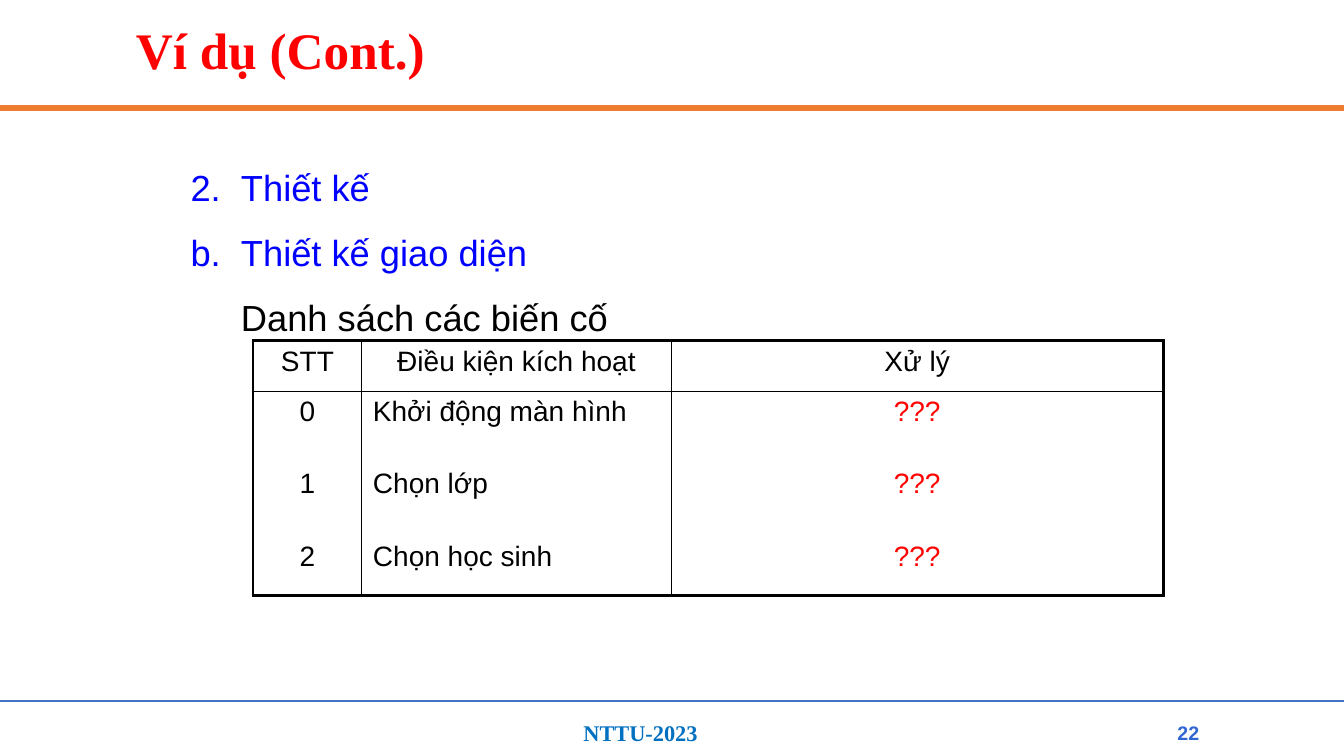
from dataclasses import dataclass
from typing import Any

from lxml import etree
from pptx import Presentation
from pptx.dml.color import RGBColor
from pptx.enum.shapes import MSO_CONNECTOR
from pptx.enum.text import MSO_ANCHOR, MSO_AUTO_SIZE, PP_ALIGN
from pptx.oxml.ns import qn
from pptx.util import Inches, Pt

STRAIGHT = MSO_CONNECTOR.STRAIGHT
TOP, MIDDLE = MSO_ANCHOR.TOP, MSO_ANCHOR.MIDDLE
LEFT, CENTER, JUSTIFY = PP_ALIGN.LEFT, PP_ALIGN.CENTER, PP_ALIGN.JUSTIFY
NO_AUTOFIT = MSO_AUTO_SIZE.NONE

SLIDE_WIDTH, SLIDE_HEIGHT = Inches(13.33), Inches(7.5)
GRID_COLUMNS, GRID_ROWS = 160, 90


@dataclass(frozen=True)
class TextStyle:
    size: float
    color: str
    face: str = "Arial"
    bold: bool = False


@dataclass(frozen=True)
class Theme:
    title: TextStyle = TextStyle(36.6, "FF0000", "Times New Roman", True)
    heading: TextStyle = TextStyle(25.9, "0000FF")
    body: TextStyle = TextStyle(25.9, "000000")
    cell: TextStyle = TextStyle(20, "000000")
    pending: TextStyle = TextStyle(20, "FF0303")
    footer: TextStyle = TextStyle(16, "0070C0", "Times New Roman", True)
    page_number: TextStyle = TextStyle(14, "3167D3", bold=True)
    title_rule: str = "ED7D31"
    footer_rule: str = "4472C4"
    border: str = "000000"
    outer_border: float = 2.25
    inner_border: float = 1


@dataclass(frozen=True)
class Area:
    column: float
    row: float
    columns: float
    rows: float


@dataclass(frozen=True)
class Line:
    text: str
    style: TextStyle
    align: PP_ALIGN = LEFT
    spacing: float = 1.0
    before: float = 0
    indent: float = 0
    numbering: str = ""


@dataclass(frozen=True)
class TextBlock:
    area: Area
    lines: tuple[Line, ...]
    anchor: MSO_ANCHOR = TOP
    wrap: bool = True


@dataclass(frozen=True)
class Rule:
    row: float
    color: str
    width: float


@dataclass(frozen=True)
class EventColumn:
    columns: float
    heading: str
    entries: tuple[str, ...]
    style: TextStyle
    align: PP_ALIGN


THEME = Theme()
EVENT_GAP = 29.4
NUMBER_START = 2
TABLE_AREA = Area(30.12, 40.56, 108.36, 30.36)
TABLE_ROWS = (6, 24.36)

RULES = (
    Rule(12.84, THEME.title_rule, 4.5),
    Rule(83.4, THEME.footer_rule, 1.5),
)

BLOCKS = (
    TextBlock(Area(68.28, 85.08, 21.36, 4.44),
              (Line("NTTU-2023", THEME.footer),)),
    TextBlock(Area(15, 2.76, 130, 7),
              (Line("Ví dụ (Cont.)", THEME.title, spacing=0.9),), MIDDLE),
    TextBlock(Area(21.5, 18, 117, 66), (
        Line("Thiết kế", THEME.heading, JUSTIFY, 1.2, 0, 6, "arabicPeriod"),
        Line("Thiết kế giao diện", THEME.heading, JUSTIFY, 1.2, 9.2, 6, "alphaLcPeriod"),
        Line("Danh sách các biến cố", THEME.body, JUSTIFY, 1.2, 9.2, 6),
    )),
    TextBlock(Area(138.72, 85.08, 5.52, 4.32),
              (Line("22", THEME.page_number, CENTER),), MIDDLE, False),
)

EVENT_COLUMNS = (
    EventColumn(12.96, "STT", ("0", "1", "2"), THEME.cell, CENTER),
    EventColumn(36.84, "Điều kiện kích hoạt",
                ("Khởi động màn hình", "Chọn lớp", "Chọn học sinh"), THEME.cell, LEFT),
    EventColumn(58.56, "Xử lý", ("???",) * 3, THEME.pending, CENTER),
)


def across(columns: float) -> int:
    return round(SLIDE_WIDTH * columns / GRID_COLUMNS)


def down(rows: float) -> int:
    return round(SLIDE_HEIGHT * rows / GRID_ROWS)


def place(area: Area) -> tuple[int, int, int, int]:
    return across(area.column), down(area.row), across(area.columns), down(area.rows)


def apply(target: Any, values: dict[str, Any]) -> None:
    for name, value in values.items():
        setattr(target, name, value)


def write_lines(frame: Any, lines: tuple[Line, ...]) -> None:
    for index, line in enumerate(lines):
        para = frame.add_paragraph() if index else frame.paragraphs[0]
        if line.indent:
            properties = para._p.get_or_add_pPr()
            properties.set("marL", str(across(line.indent)))
            properties.set("indent", str(-across(line.indent) if line.numbering else 0))
            if line.numbering:
                etree.SubElement(properties, qn("a:buAutoNum"),
                                 type=line.numbering, startAt=str(NUMBER_START))
        apply(para, {"alignment": line.align, "line_spacing": line.spacing,
                     "space_before": Pt(line.before)})
        span = para.add_run()
        span.text = line.text
        apply(span.font, {"name": line.style.face, "size": Pt(line.style.size),
                          "bold": line.style.bold})
        span.font.color.rgb = RGBColor.from_string(line.style.color)


def draw_rule(page: Any, rule: Rule) -> None:
    connector = page.shapes.add_connector(
        STRAIGHT, 0, down(rule.row), SLIDE_WIDTH, down(rule.row))
    connector.line.color.rgb = RGBColor.from_string(rule.color)
    connector.line.width = Pt(rule.width)
    etree.SubElement(connector._element.spPr, qn("a:effectLst"))


def draw_block(page: Any, block: TextBlock) -> None:
    box = page.shapes.add_textbox(*place(block.area))
    apply(box.text_frame, {"word_wrap": block.wrap, "auto_size": NO_AUTOFIT,
                           "vertical_anchor": block.anchor})
    write_lines(box.text_frame, block.lines)


def draw_borders(cell: Any, outer_sides: dict[str, bool]) -> None:
    properties = cell._tc.get_or_add_tcPr()
    for side, outer in outer_sides.items():
        width = THEME.outer_border if outer else THEME.inner_border
        border = etree.SubElement(properties, qn(f"a:ln{side}"), w=str(Pt(width)))
        fill = etree.SubElement(border, qn("a:solidFill"))
        etree.SubElement(fill, qn("a:srgbClr"), val=THEME.border)


def draw_events(page: Any, columns: tuple[EventColumn, ...]) -> None:
    table = page.shapes.add_table(
        len(TABLE_ROWS), len(columns), *place(TABLE_AREA)).table
    apply(table, {"first_row": False, "horz_banding": False})
    for row, height in zip(table.rows, TABLE_ROWS):
        row.height = down(height)
    for number, column in enumerate(columns):
        table.columns[number].width = across(column.columns)
        heading = (Line(column.heading, THEME.cell, CENTER),)
        entries = tuple(Line(entry, column.style, column.align, before=EVENT_GAP if index else 0)
                        for index, entry in enumerate(column.entries))
        for row_number, lines in enumerate((heading, entries)):
            cell = table.cell(row_number, number)
            draw_borders(cell, {"L": number == 0, "R": number == len(columns) - 1,
                                "T": row_number == 0, "B": row_number == len(TABLE_ROWS) - 1})
            cell.fill.background()
            apply(cell, {"margin_left": Inches(0.11), "margin_right": Inches(0.11),
                         "margin_top": Inches(0.05), "margin_bottom": Inches(0.05)})
            write_lines(cell.text_frame, lines)


def main() -> None:
    deck = Presentation()
    apply(deck, {"slide_width": SLIDE_WIDTH, "slide_height": SLIDE_HEIGHT})
    page = deck.slides.add_slide(deck.slide_layouts[6])
    for rule in RULES:
        draw_rule(page, rule)
    for block in BLOCKS:
        draw_block(page, block)
    draw_events(page, EVENT_COLUMNS)
    deck.save("out.pptx")


if __name__ == "__main__":
    main()
